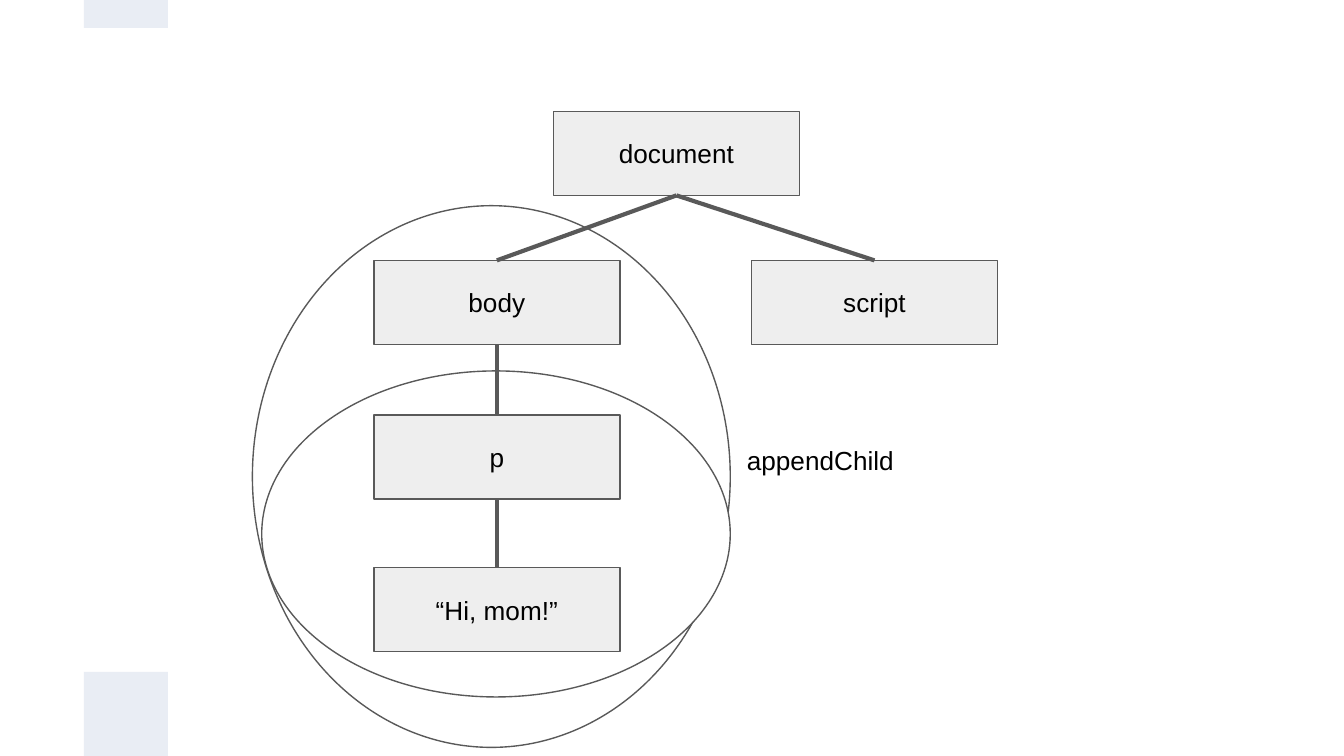
import pptx
import pptx.dml.color
import pptx.enum.shapes
import pptx.enum.text
import pptx.oxml.ns
import pptx.util
from lxml import etree

Pt = pptx.util.Pt
RGBColor = pptx.dml.color.RGBColor
ShapeType = pptx.enum.shapes.MSO_SHAPE
Align = pptx.enum.text.PP_ALIGN
Anchor = pptx.enum.text.MSO_ANCHOR

WHITE = RGBColor(0xFF, 0xFF, 0xFF)
BLACK = RGBColor(0x00, 0x00, 0x00)
GRAY = RGBColor(0x59, 0x59, 0x59)
NODE_FILL = RGBColor(0xEE, 0xEE, 0xEE)
ACCENT = RGBColor(0xE9, 0xED, 0xF4)

NODE_WIDTH, NODE_HEIGHT = 131.8, 45
BODY_LEFT = 200.3
BOTTOM, TOP = 2, 0


def add_outline(slide, kind, left, top, width, height, fill, line=None):
    """Add a filled preset shape, with an optional thin outline."""
    shape = slide.shapes.add_shape(kind, Pt(left), Pt(top), Pt(width), Pt(height))
    shape.shadow.inherit = False
    shape.fill.solid()
    shape.fill.fore_color.rgb = fill
    if line is None:
        shape.line.fill.background()
    else:
        shape.line.color.rgb = line
        shape.line.width = Pt(0.75)
    return shape


def set_text(shape, text, size=14, font="Arial", color=BLACK,
             align=Align.LEFT, anchor=Anchor.TOP, inset=7.2):
    """Write one formatted paragraph into a shape."""
    frame = shape.text_frame
    frame.word_wrap = True
    frame.vertical_anchor = anchor
    frame.margin_left = frame.margin_right = Pt(inset)
    frame.margin_top = frame.margin_bottom = Pt(inset)
    paragraph = frame.paragraphs[0]
    paragraph.alignment = align
    run = paragraph.add_run()
    run.text = text
    run.font.size = Pt(size)
    run.font.name = font
    run.font.color.rgb = color


def add_node(slide, text, left, top):
    """Add a labelled box of the document tree."""
    node = add_outline(slide, ShapeType.RECTANGLE, left, top,
                       NODE_WIDTH, NODE_HEIGHT, NODE_FILL, GRAY)
    set_text(node, text, align=Align.CENTER, anchor=Anchor.MIDDLE)
    return node


def add_branch(slide, parent, child):
    """Join the bottom of a parent node to the top of its child."""
    branch = slide.shapes.add_connector(
        pptx.enum.shapes.MSO_CONNECTOR.STRAIGHT, Pt(0), Pt(0), Pt(0), Pt(0))
    branch.begin_connect(parent, BOTTOM)
    branch.end_connect(child, TOP)
    branch.line.color.rgb = GRAY
    branch.line.width = Pt(2.25)
    properties = branch._element.spPr
    etree.SubElement(properties, pptx.oxml.ns.qn("a:effectLst"))


def add_label(slide, text, left, top, width, height):
    """Add a free-standing text label."""
    label = slide.shapes.add_textbox(Pt(left), Pt(top), Pt(width), Pt(height))
    set_text(label, text)


def main():
    """Build the document tree slide."""
    presentation = pptx.Presentation()
    presentation.slide_width = Pt(720)
    presentation.slide_height = Pt(405)
    slide = presentation.slides.add_slide(presentation.slide_layouts[6])

    for left, top, width, height in ((135.2, 110.2, 256, 290.2), (140.2, 198.7, 251, 174.7)):
        add_outline(slide, ShapeType.FLOWCHART_CONNECTOR, left, top, width, height, WHITE, GRAY)
    for top, height in ((360, 45), (0, 15)):
        add_outline(slide, ShapeType.RECTANGLE, 45, top, 45, height, ACCENT)

    document = add_node(slide, "document", 296.5, 59.7)
    body = add_node(slide, "body", BODY_LEFT, 139.5)
    paragraph_node = add_node(slide, "p", BODY_LEFT, 222.4)
    greeting = add_node(slide, "“Hi, mom!”", BODY_LEFT, 304.1)
    script = add_node(slide, "script", 402.6, 139.5)
    for parent, child in ((document, body), (document, script),
                          (paragraph_node, greeting), (body, paragraph_node)):
        add_branch(slide, parent, child)
    add_label(slide, "appendChild", 393, 230.6, 99.4, 34.6)

    presentation.save("out.pptx")


if __name__ == "__main__":
    main()
